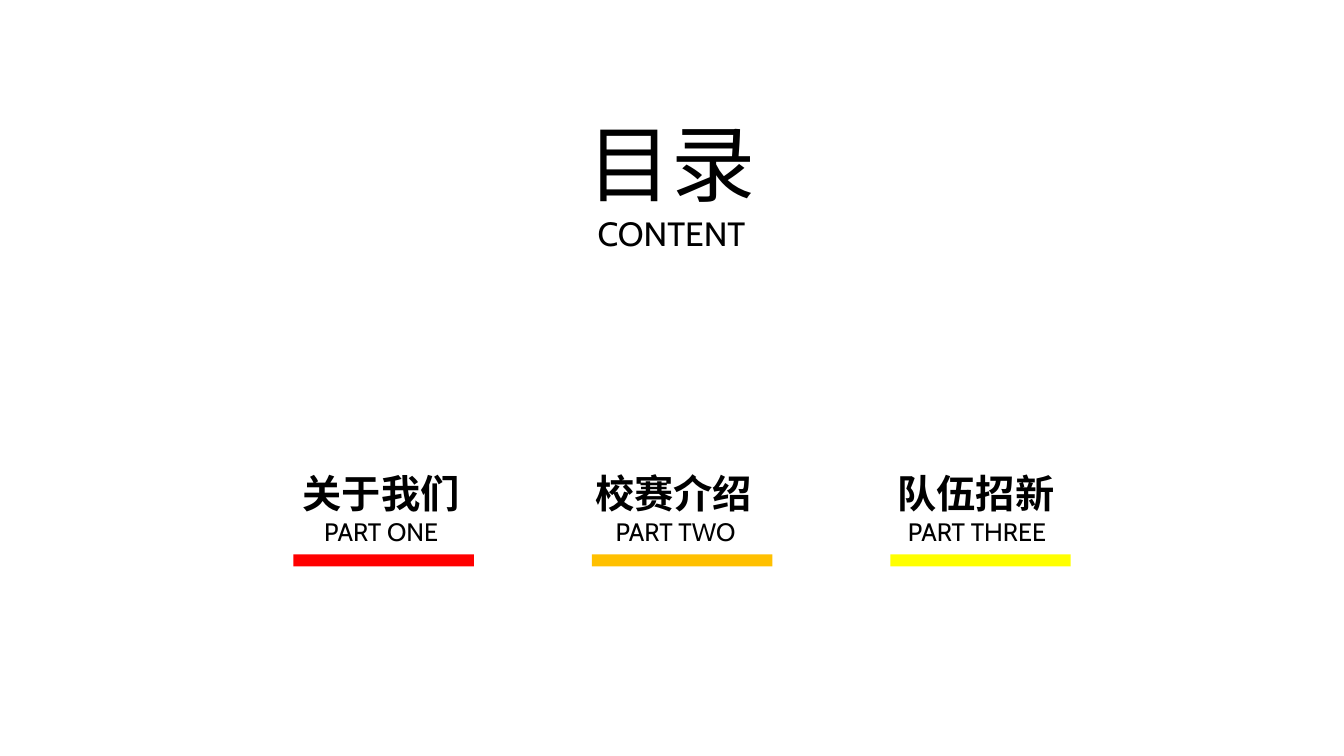
from pptx import Presentation
from pptx.dml.color import RGBColor
from pptx.enum.shapes import MSO_SHAPE as Shape
from pptx.enum.text import MSO_ANCHOR as Anchor, MSO_AUTO_SIZE as AutoSize, PP_ALIGN as Align
from pptx.util import Inches, Pt

COLORS = {"text": "000000", "red": "FF0000", "amber": "FFC000", "yellow": "FFFF00"}
FONT = "Cabin"
PARTS = [
    ("关于我们", -0.09, "PART ONE", -0.09, "red"),
    ("校赛介绍", -0.15, "PART TWO", -0.13, "amber"),
    ("队伍招新", -0.11, "PART THREE", -0.1, "yellow"),
]
PARTS_LEFT, PARTS_TOP, PART_STEP = 2.91, 4.47, 2.96
BAR_WIDTH, TEXT_WIDTH = 1.79, 1.92


def style(paragraph, size, bold=False):
    """Centre a paragraph and format its runs."""
    paragraph.alignment = Align.CENTER
    for run in paragraph.runs:
        run.font.name = FONT
        run.font.size = Pt(size)
        run.font.bold = bold
        run.font.color.rgb = RGBColor.from_string(COLORS["text"])


def add_heading(slide, left, top, width, height):
    """Place the two-line contents heading in the given box."""
    heading = slide.shapes.title
    heading.left, heading.top = Inches(left), Inches(top)
    heading.width, heading.height = Inches(width), Inches(height)
    frame = heading.text_frame
    frame.text = "目录\nCONTENT"
    frame.word_wrap = False
    frame.auto_size = AutoSize.SHAPE_TO_FIT_TEXT
    frame.vertical_anchor = Anchor.TOP
    for paragraph, size in zip(frame.paragraphs, (60, 24)):
        style(paragraph, size)


def add_label(slide, words, left, top, height, size, bold=False):
    """Add one centred line of a part."""
    label = slide.shapes.add_textbox(
        Inches(left), Inches(top), Inches(TEXT_WIDTH), Inches(height))
    frame = label.text_frame
    frame.text = words
    frame.word_wrap = True
    frame.auto_size = AutoSize.SHAPE_TO_FIT_TEXT
    frame.paragraphs[0].line_spacing = 1.3
    style(frame.paragraphs[0], size, bold)


def add_part(slide, left, top, name, name_shift, number, number_shift, color):
    """Stack a part's name, number and coloured bar from the given corner."""
    add_label(slide, number, left + number_shift, top + 0.51, 0.49, 18)
    add_label(slide, name, left + name_shift, top, 0.65, 28, bold=True)
    bar = slide.shapes.add_shape(
        Shape.RECTANGLE, Inches(left), Inches(top + 1.03), Inches(BAR_WIDTH), Inches(0.12))
    bar.shadow.inherit = False
    bar.fill.solid()
    bar.fill.fore_color.rgb = RGBColor.from_string(COLORS[color])
    bar.line.fill.background()


def main():
    """Build and save the contents slide."""
    deck = Presentation()
    deck.slide_width, deck.slide_height = Inches(13.33), Inches(7.5)
    slide = deck.slides.add_slide(deck.slide_layouts[5])
    add_heading(slide, 5.72, 1.06, 1.88, 1.51)
    for column, part in enumerate(PARTS):
        add_part(slide, PARTS_LEFT + column * PART_STEP, PARTS_TOP, *part)
    deck.save("out.pptx")


if __name__ == "__main__":
    main()
